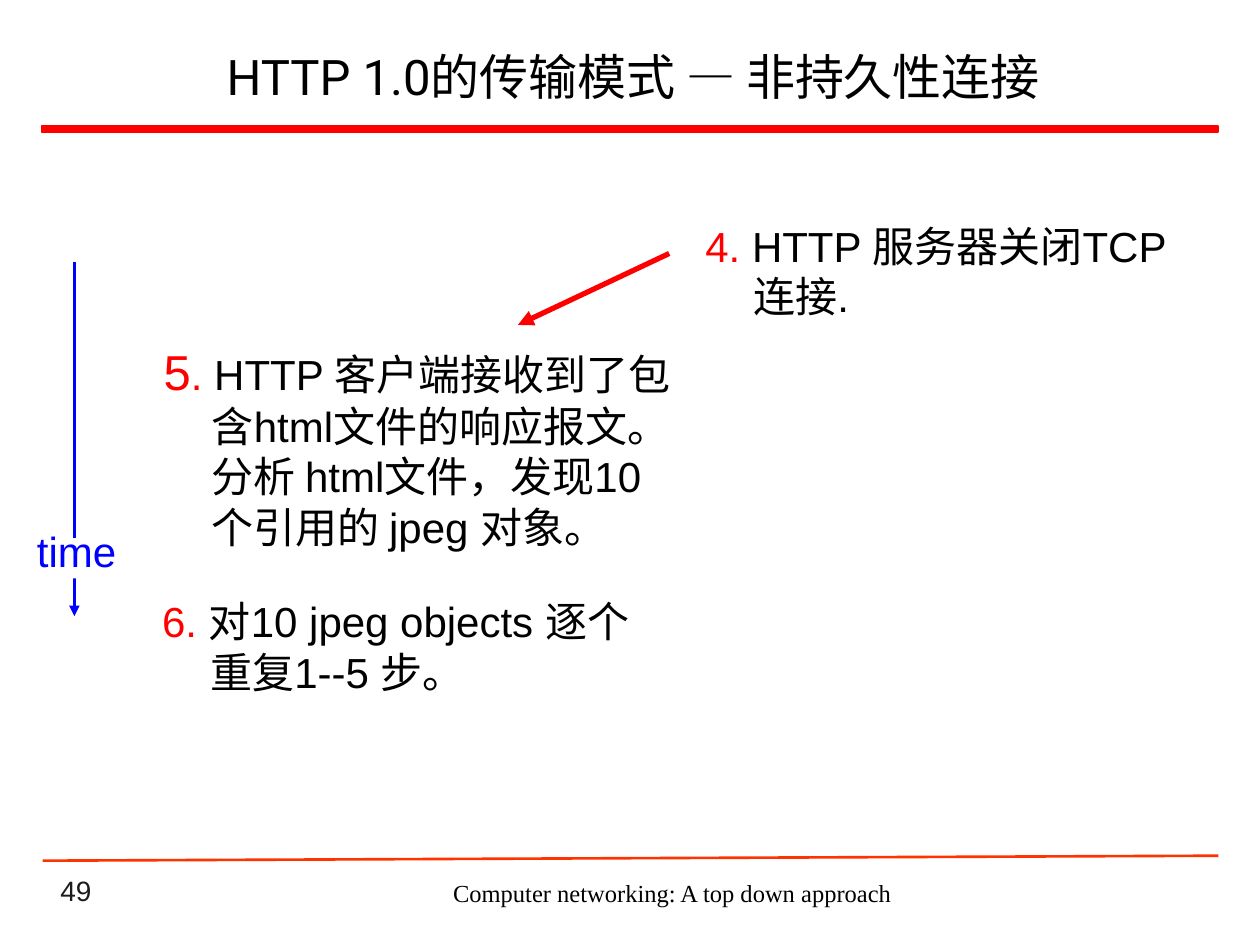
from dataclasses import dataclass

from lxml import etree
from pptx import Presentation
from pptx.dml.color import RGBColor
from pptx.enum.shapes import MSO_CONNECTOR, MSO_SHAPE
from pptx.enum.text import MSO_ANCHOR, PP_ALIGN
from pptx.oxml.ns import qn
from pptx.slide import Slide
from pptx.util import Cm, Pt

LEFT, CENTER = PP_ALIGN.LEFT, PP_ALIGN.CENTER
TOP, MIDDLE, BOTTOM = MSO_ANCHOR.TOP, MSO_ANCHOR.MIDDLE, MSO_ANCHOR.BOTTOM
STRAIGHT, RECTANGLE = MSO_CONNECTOR.STRAIGHT, MSO_SHAPE.RECTANGLE

BLACK = RGBColor(0x00, 0x00, 0x00)
WHITE = RGBColor(0xFF, 0xFF, 0xFF)
RED = RGBColor(0xFF, 0x00, 0x00)
ORANGE = RGBColor(0xFF, 0x33, 0x00)
BLUE = RGBColor(0x00, 0x00, 0xFF)
CHARCOAL = RGBColor(0x1C, 0x1C, 0x1C)


@dataclass(frozen=True)
class Box:
    """Position and size in centimetres."""
    left: float
    top: float
    width: float
    height: float


@dataclass(frozen=True)
class Run:
    text: str
    size: int = 24
    color: RGBColor = BLACK
    font: str = "Arial"


@dataclass(frozen=True)
class TextBlock:
    box: Box
    runs: tuple[Run, ...]
    align: PP_ALIGN = LEFT
    anchor: MSO_ANCHOR = TOP
    hanging: float = 0
    wrap: bool = True


@dataclass(frozen=True)
class Line:
    start: tuple[float, float]
    end: tuple[float, float]
    color: RGBColor
    width: float = 1.5
    arrow: bool = False


def add_text(slide: Slide, block: TextBlock) -> None:
    box = block.box
    shape = slide.shapes.add_textbox(
        Cm(box.left), Cm(box.top), Cm(box.width), Cm(box.height))
    frame = shape.text_frame
    frame.word_wrap = block.wrap
    frame.vertical_anchor = block.anchor
    paragraph = frame.paragraphs[0]
    paragraph.alignment = block.align
    if block.hanging:
        properties = paragraph._p.get_or_add_pPr()
        properties.set("marL", str(Cm(block.hanging)))
        properties.set("indent", str(-Cm(block.hanging)))
    for item in block.runs:
        run = paragraph.add_run()
        run.text = item.text
        run.font.name = item.font
        run.font.size = Pt(item.size)
        run.font.color.rgb = item.color


def add_line(slide: Slide, line: Line) -> None:
    connector = slide.shapes.add_connector(
        STRAIGHT, *(Cm(value) for value in line.start + line.end))
    connector.line.color.rgb = line.color
    connector.line.width = Pt(line.width)
    if line.arrow:
        outline = connector.line._get_or_add_ln()
        etree.SubElement(outline, qn("a:tailEnd"), type="triangle")
    etree.SubElement(connector._element.spPr, qn("a:effectLst"))


def add_rectangle(slide: Slide, box: Box, color: RGBColor, outlined: bool) -> None:
    shape = slide.shapes.add_shape(
        RECTANGLE, Cm(box.left), Cm(box.top), Cm(box.width), Cm(box.height))
    shape.shadow.inherit = False
    shape.fill.solid()
    shape.fill.fore_color.rgb = color
    if outlined:
        shape.line.color.rgb = color
        shape.line.width = Pt(1)
    else:
        shape.line.fill.background()


def add_step(slide: Slide, box: Box, *runs: Run) -> None:
    add_text(slide, TextBlock(box, runs, hanging=0.97))


def main() -> None:
    presentation = Presentation()
    presentation.slide_width = Cm(25.4)
    presentation.slide_height = Cm(19.05)
    slide = presentation.slides.add_slide(presentation.slide_layouts[6])

    # Title and rules
    add_rectangle(slide, Box(0.84, 2.54, 23.72, 0.13), RED, outlined=True)
    add_line(slide, Line((0.86, 17.35), (24.56, 17.25), ORANGE))
    title = Run("HTTP 1.0的传输模式 — 非持久性连接", 28, font="Roboto")
    add_text(slide, TextBlock(Box(0.89, 0.64, 23.75, 1.78), (title,), CENTER, MIDDLE))

    # Numbered steps
    add_step(slide, Box(3.05, 6.76, 10.87, 4.55),
             Run("5", 28, RED), Run(". ", color=RED),
             Run("HTTP 客户端接收到了包含html文件的响应报文。"
                 "分析 html文件，发现10 个引用的 jpeg 对象。"))
    add_step(slide, Box(3.02, 11.89, 10.59, 2.13),
             Run("6. ", color=RED), Run("对10 jpeg objects 逐个重复1--5 步。"))
    add_step(slide, Box(13.97, 4.32, 10.59, 2.03),
             Run("4. ", color=RED), Run("HTTP 服务器关闭TCP 连接."))

    # Time axis, with a white gap behind its label
    add_line(slide, Line((1.5, 5.28), (1.5, 12.42), BLUE, arrow=True))
    add_rectangle(slide, Box(0.84, 10.85, 0.97, 0.81), WHITE, outlined=False)
    add_text(slide, TextBlock(Box(0.48, 10.46, 2.13, 1.3),
                              (Run("time", color=BLUE),), CENTER, wrap=False))

    # Message from server to client
    add_line(slide, Line((13.49, 5.11), (10.44, 6.55), RED, 3, arrow=True))

    # Footer
    add_text(slide, TextBlock(Box(0.97, 17.78, 5.28, 0.64),
                              (Run("49", 16, CHARCOAL),), anchor=BOTTOM))
    footer = Run("Computer networking: A top down approach", 14, font="Times New Roman")
    add_text(slide, TextBlock(Box(8.69, 17.58, 9.73, 0.86), (footer,), CENTER))

    presentation.save("out.pptx")


if __name__ == "__main__":
    main()
